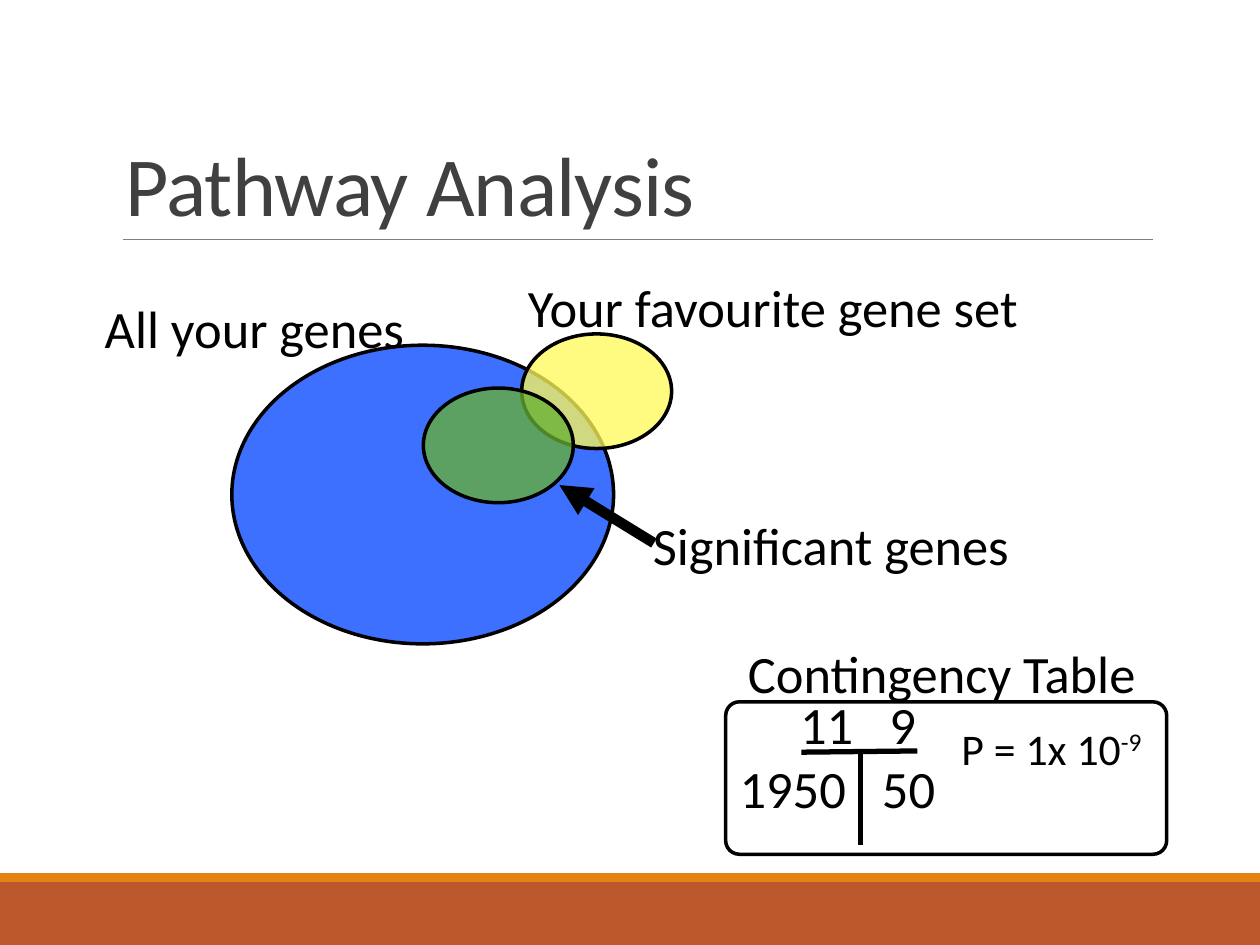
"""Build the Pathway Analysis slide: gene set overlap and its contingency table."""
from lxml import etree
from pptx import Presentation, util as u
from pptx.dml.color import RGBColor
from pptx.enum import shapes as sh, text as tx
from pptx.oxml import ns

HUE = {
    "rust": "BD582C", "amber": "E48312", "rule": "808080", "title": "404040",
    "ink": "000000", "all": "0044FE", "set": "FFF959", "hits": "66B132",
}
KIND = sh.MSO_SHAPE
deck = Presentation()
deck.slide_width, deck.slide_height = u.Inches(10), u.Inches(7.5)
col, row = deck.slide_width / 100, deck.slide_height / 75
slide = deck.slides.add_slide(deck.slide_layouts[6])


def grid(x, y, w, h):
    return [int(n) for n in (x * col, y * row, w * col, h * row)]


def label(words, box, size, hue="ink", stop=None):
    item = slide.shapes.add_textbox(*grid(*box))
    frame = item.text_frame
    frame.word_wrap = False
    frame.vertical_anchor = tx.MSO_ANCHOR.MIDDLE
    frame.margin_left = frame.margin_right = frame.margin_top = frame.margin_bottom = 0
    para = frame.paragraphs[0]
    para.text = words
    para.alignment = tx.PP_ALIGN.LEFT if stop else tx.PP_ALIGN.CENTER
    if stop:
        tabs = etree.SubElement(para._p.get_or_add_pPr(), ns.qn("a:tabLst"))
        etree.SubElement(tabs, ns.qn("a:tab"), pos=str(int(stop * col)), algn="l")
    para.font.name, para.font.size = "Calibri", u.Pt(size)
    para.font.color.rgb = RGBColor.from_string(HUE[hue])
    return frame


for hue, top, high in (("rust", 70, 5), ("amber", 69.3, 0.7)):
    band = slide.shapes.add_shape(KIND.RECTANGLE, *grid(0, top, 100, high))
    band.shadow.inherit = False
    band.fill.solid()
    band.fill.fore_color.rgb = RGBColor.from_string(HUE[hue])
    band.line.fill.background()

title = label("Pathway Analysis", (9, 3.1, 82.5, 15.9), 48, "title")
title.word_wrap = True
title.vertical_anchor = tx.MSO_ANCHOR.BOTTOM
title.margin_left = title.margin_right = u.Inches(0.1)
title.margin_top = title.margin_bottom = u.Inches(0.05)
head = title.paragraphs[0]
head.alignment, head.line_spacing = tx.PP_ALIGN.LEFT, 0.85
head.runs[0]._r.get_or_add_rPr().set("spc", "-50")

for hue, box in (
    ("all", (18.4, 27.4, 30.3, 23.7)),
    ("set", (41.4, 26.5, 11.9, 9.1)),
    ("hits", (33.6, 30.8, 11.9, 9.1)),
):
    oval = slide.shapes.add_shape(KIND.OVAL, *grid(*box))
    oval.shadow.inherit = False
    oval.fill.solid()
    oval.fill.fore_color.rgb = RGBColor.from_string(HUE[hue])
    tint = oval.fill._xPr.find(".//" + ns.qn("a:srgbClr"))
    etree.SubElement(tint, ns.qn("a:alpha"), val="76000")
    oval.line.color.rgb = RGBColor.from_string(HUE["ink"])
    oval.line.width = u.Pt(2)

for words, box, stop in (
    ("All your genes", (8.2, 23.5, 24, 5), None),
    ("Your favourite gene set", (41.7, 21.8, 39.3, 5), None),
    ("Significant genes", (51.7, 40.7, 28.5, 5), None),
    ("11\t9", (63.5, 54.9, 9.3, 5), 7.1),
    ("1950\t50", (58.7, 60, 15.7, 5), 11.3),
    ("Contingency Table", (59.2, 50.9, 31.1, 5), None),
):
    label(words, box, 30, stop=stop)

for ends, hue, width, tip in (
    ((9.8, 19, 91.5, 19), "rule", 0.5, False),
    ((44.4, 38.5, 51.9, 43.1), "ink", 6, True),
    ((68.3, 59.7, 68.3, 67.1), "ink", 3, False),
    ((72.8, 59.6, 63.6, 59.7), "ink", 3, False),
):
    line = slide.shapes.add_connector(sh.MSO_CONNECTOR.STRAIGHT, *grid(*ends))
    line.line.color.rgb = RGBColor.from_string(HUE[hue])
    line.line.width = u.Pt(width)
    etree.SubElement(line._element.spPr, ns.qn("a:effectLst"))
    if tip:
        etree.SubElement(line.line._get_or_add_ln(), ns.qn("a:headEnd"), type="triangle")

frame = slide.shapes.add_shape(KIND.ROUNDED_RECTANGLE, *grid(57.6, 55.7, 35, 12.1))
frame.shadow.inherit = False
frame.adjustments[0] = 0.09
frame.fill.background()
frame.line.color.rgb = RGBColor.from_string(HUE["ink"])
frame.line.width = u.Pt(2)

odds = label("P = 1x 10", (76.1, 57.3, 14.7, 4.2), 25).paragraphs[0]
power = odds.add_run()
power.text = "-9"
power._r.get_or_add_rPr().set("baseline", "32000")

deck.save("out.pptx")
